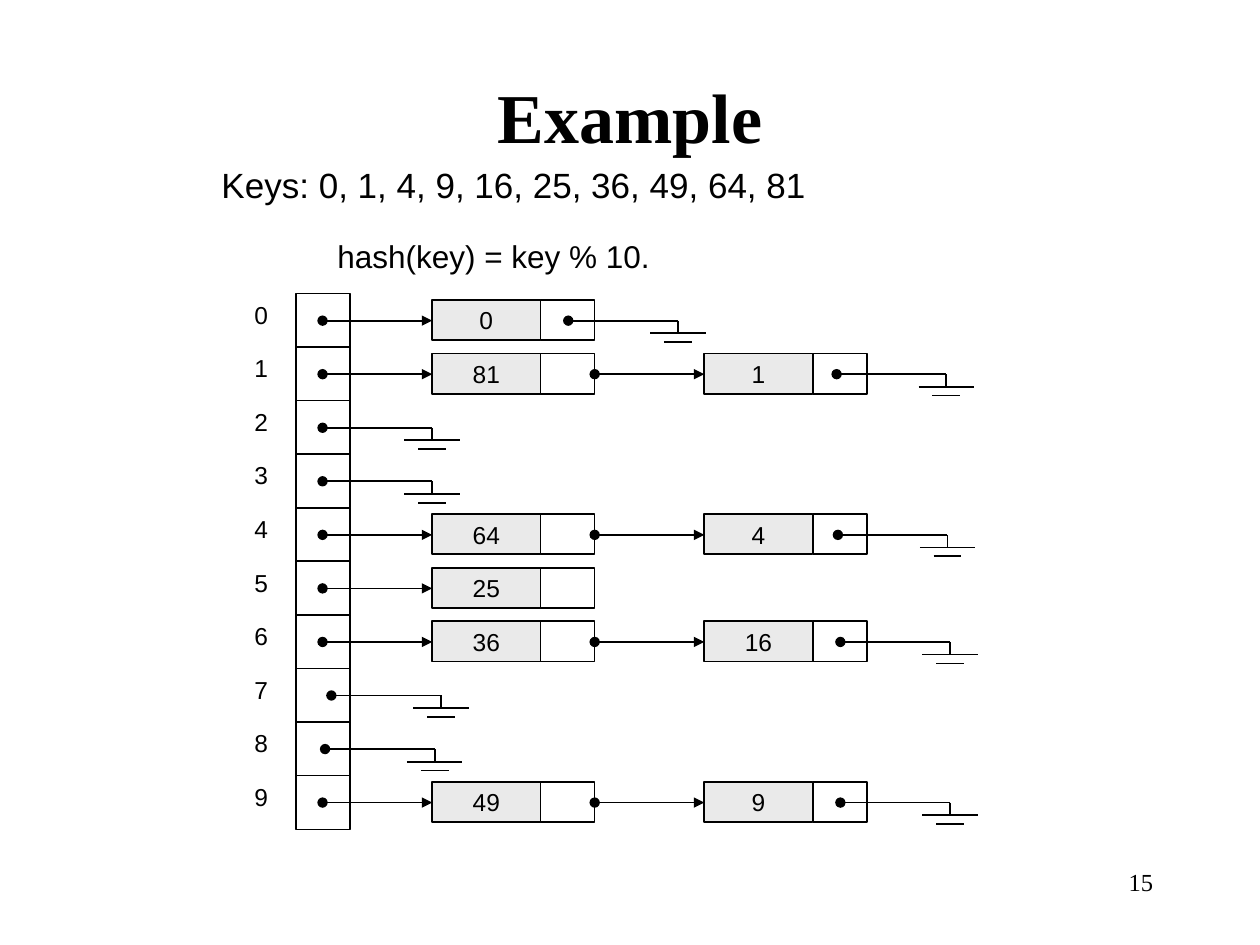
from lxml import etree
from pptx import Presentation, util as u
from pptx.dml.color import RGBColor
from pptx.enum import shapes as s, text as t
from pptx.oxml import ns

Inches = u.Inches
COLORS = {"ink": "000000", "paper": "FFFFFF", "key": "EAEAEA"}
BUCKETS = [
    (["0"], 2.16),
    (["81", "1"], 4.29),
    ([], 0.21),
    ([], 0.21),
    (["64", "4"], 4.3),
    (["25"], None),
    (["36", "16"], 4.32),
    ([], 0.28),
    ([], 0.23),
    (["49", "9"], 4.32),
]
PITCH = 0.425
CELL = 0.43
POINTER_Y = 0.215
NODE_X, NODE_PITCH = 1.08, 2.16
KEY_WIDTH, NODE_HEIGHT = 0.86, 0.32


def color(name):
    return RGBColor.from_string(COLORS[name])


def write(frame, words, size, font="Arial", align=t.PP_ALIGN.LEFT, bold=False):
    paragraph = frame.paragraphs[0]
    paragraph.text = words
    paragraph.alignment = align
    paragraph.font.size = u.Pt(size)
    paragraph.font.name = font
    paragraph.font.bold = bold
    paragraph.font.color.rgb = color("ink")


def add_text(slide, x, y, width, height, words, size, wrap=True, **style):
    label = slide.shapes.add_textbox(
        Inches(x), Inches(y), Inches(width), Inches(height))
    label.text_frame.word_wrap = wrap
    write(label.text_frame, words, size, **style)
    return label


def add_cell(slide, x, y, width, height, fill="paper", words=None):
    cell = slide.shapes.add_shape(
        s.MSO_SHAPE.RECTANGLE, Inches(x), Inches(y), Inches(width), Inches(height))
    cell.shadow.inherit = False
    cell.fill.solid()
    cell.fill.fore_color.rgb = color(fill)
    cell.line.color.rgb = color("ink")
    cell.line.width = u.Pt(1)
    if words:
        cell.text_frame.word_wrap = False
        cell.text_frame.vertical_anchor = t.MSO_ANCHOR.MIDDLE
        write(cell.text_frame, words, 14, align=t.PP_ALIGN.CENTER)


def add_line(slide, x1, y1, x2, y2, **ends):
    line = slide.shapes.add_connector(
        s.MSO_CONNECTOR.STRAIGHT, Inches(x1), Inches(y1), Inches(x2), Inches(y2))
    line.line.color.rgb = color("ink")
    line.line.width = u.Pt(1)
    outline = line.line._get_or_add_ln()
    for end, kind in ends.items():
        etree.SubElement(outline, ns.qn(f"a:{end}"), type=kind)
    etree.SubElement(line._element.spPr, ns.qn("a:effectLst"))


def add_node(slide, x, y, key):
    add_cell(slide, x, y, KEY_WIDTH, NODE_HEIGHT, "key", key)
    add_cell(slide, x + KEY_WIDTH, y, CELL, NODE_HEIGHT)


def add_ground(slide, x, y):
    stem = x + 0.87
    add_line(slide, x, y, stem, y, headEnd="oval")
    add_line(slide, stem, y, stem, y + 0.1)
    for half, drop in ((0.22, 0.1), (0.11, 0.17)):
        add_line(slide, stem - half, y + drop, stem + half, y + drop)


def add_bucket(slide, x, y, index, keys, ground_x):
    add_text(slide, x - 0.43, y, 0.31, 0.34, str(index), 14, wrap=False)
    add_cell(slide, x, y, CELL, CELL)
    pointer_y = y + POINTER_Y
    for place, key in enumerate(keys):
        node_x = x + NODE_X + place * NODE_PITCH
        add_node(slide, node_x, y + 0.05, key)
        add_line(slide, node_x - 0.87, pointer_y, node_x, pointer_y,
                 headEnd="oval", tailEnd="triangle")
    if ground_x is not None:
        add_ground(slide, x + ground_x, pointer_y)


def add_hash_table(slide, x, y):
    for index, (keys, ground_x) in enumerate(BUCKETS):
        add_bucket(slide, x, y + index * PITCH, index, keys, ground_x)


def add_heading(slide, x, y):
    title = add_text(slide, x, y, 8.5, 0.83, "Example", 40,
                     font="Times New Roman", align=t.PP_ALIGN.CENTER, bold=True)
    title.text_frame.vertical_anchor = t.MSO_ANCHOR.MIDDLE
    add_text(slide, x + 0.91, y + 0.75, 6.34, 0.44,
             "Keys: 0, 1, 4, 9, 16, 25, 36, 49, 64, 81", 20)
    add_text(slide, x + 1.83, y + 1.33, 2.75, 0.4,
             "hash(key) = key % 10.", 18, wrap=False)


def add_page_number(slide, x, y):
    add_text(slide, x, y, 2.08, 0.5, "15", 14,
             font="Times New Roman", align=t.PP_ALIGN.RIGHT)


def main():
    deck = Presentation()
    deck.slide_width, deck.slide_height = Inches(10), Inches(7.5)
    slide = deck.slides.add_slide(deck.slide_layouts[6])
    add_heading(slide, 0.75, 0.5)
    add_hash_table(slide, 2.35, 2.33)
    add_page_number(slide, 7.17, 6.83)
    deck.save("out.pptx")


if __name__ == "__main__":
    main()
